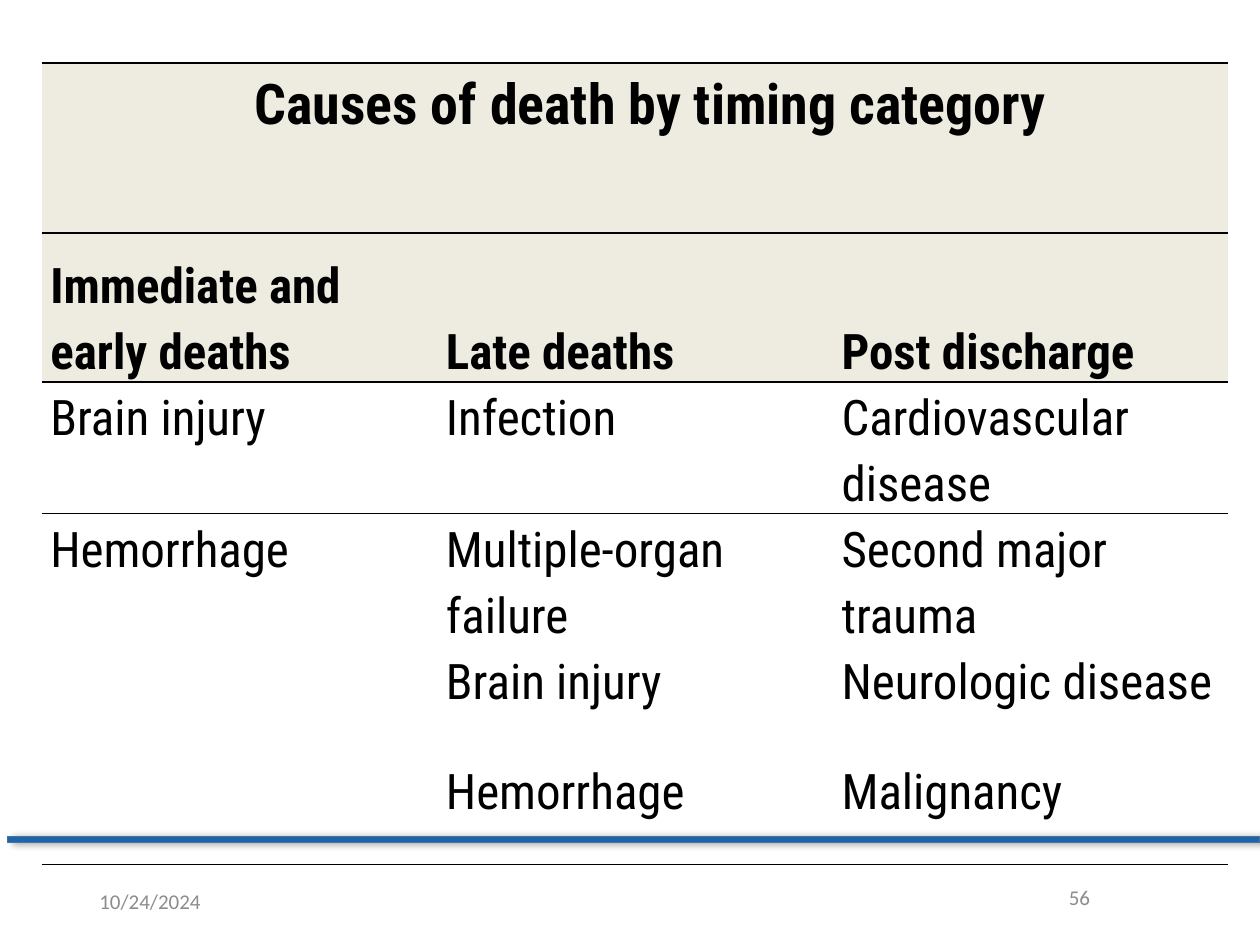
from lxml import etree
from pptx import Presentation
from pptx.dml.color import RGBColor
from pptx.enum.shapes import MSO_SHAPE
from pptx.enum.text import MSO_ANCHOR, PP_ALIGN
from pptx.oxml import parse_xml
from pptx.oxml.ns import qn
from pptx.util import Inches, Pt

RECT = MSO_SHAPE.RECTANGLE
TOP, MIDDLE, BOTTOM = MSO_ANCHOR.TOP, MSO_ANCHOR.MIDDLE, MSO_ANCHOR.BOTTOM
LEFT, CENTER, RIGHT = PP_ALIGN.LEFT, PP_ALIGN.CENTER, PP_ALIGN.RIGHT

COLORS = {"text": "000000", "header": "EEECE1", "bar": "2163AB",
          "bar_line": "43739E", "footer": "8C8C8C"}
TABLE_FONT, FOOTER_FONT = "Roboto Condensed", "Calibri"
NO_STYLE = "{2D5ABB26-0587-4C30-8999-92F81FD0307C}"
A_NS = 'xmlns:a="http://schemas.openxmlformats.org/drawingml/2006/main"'

TITLE = "Causes of death by timing category"
ROWS = [
    [TITLE, "", ""],
    ["Immediate and early deaths", "Late deaths", "Post discharge"],
    ["Brain injury", "Infection", "Cardiovascular disease"],
    ["Hemorrhage", "Multiple-organ failure", "Second major trauma"],
    ["", "Brain injury", "Neurologic disease"],
    ["", "Hemorrhage", "Malignancy"],
]
HEADER_ROWS = 2
COL_WIDTH = 3.14
ROW_HEIGHTS = [1.35, 1.18] + [0.87] * 4


def rgb(name):
    return RGBColor.from_string(COLORS[name])


def style_text(p, font, size, color, align=LEFT, bold=False):
    p.alignment = align
    for r in p.runs:
        r.font.name = font
        r.font.size = Pt(size)
        r.font.bold = bold
        r.font.color.rgb = rgb(color)


def add_bar(slide):
    sp = slide.shapes.add_shape(RECT, Inches(0.06), Inches(6.64),
                                Inches(9.94), Inches(0.05))
    sp.fill.solid()
    sp.fill.fore_color.rgb = rgb("bar")
    sp.line.color.rgb = rgb("bar_line")
    sp.line.width = Pt(0.5)
    sp.shadow.inherit = False
    effects = sp._element.spPr.find(qn("a:effectLst"))
    effects.append(parse_xml(
        f'<a:outerShdw {A_NS} blurRad="{Pt(4)}" dist="{Pt(3)}" dir="0" rotWithShape="0">'
        f'<a:srgbClr val="{COLORS["text"]}"><a:alpha val="40000"/></a:srgbClr></a:outerShdw>'))


def set_borders(cell, sides):
    """Rule the given sides (T, B) of a cell."""
    tcPr = cell._tc.get_or_add_tcPr()
    for i, side in enumerate(sides):
        tcPr.insert(i, parse_xml(
            f'<a:ln{side} {A_NS} w="{Pt(1)}"><a:solidFill>'
            f'<a:srgbClr val="{COLORS["text"]}"/></a:solidFill></a:ln{side}>'))


def fill_cell(cell, text, row):
    cell.margin_left = cell.margin_right = Inches(0.07)
    cell.margin_top = cell.margin_bottom = 0
    cell.vertical_anchor = BOTTOM if row == 1 else TOP
    if row < HEADER_ROWS:
        cell.fill.solid()
        cell.fill.fore_color.rgb = rgb("header")
    else:
        cell.fill.background()
    if text:
        p = cell.text_frame.paragraphs[0]
        p.text = text
        p.line_spacing = 1.15
        is_title = row == 0
        style_text(p, TABLE_FONT, 32 if is_title else 28, "text",
                   CENTER if is_title else LEFT, bold=row < HEADER_ROWS)
        if is_title:
            p._p.get_or_add_pPr().set("marL", str(Inches(0.25)))


def add_causes_table(slide):
    n_rows, n_cols = len(ROWS), len(ROWS[0])
    frame = slide.shapes.add_table(n_rows, n_cols, Inches(0.33), Inches(0.5),
                                   Inches(COL_WIDTH * n_cols), Inches(sum(ROW_HEIGHTS)))
    table = frame.table
    table.first_row = table.horz_banding = False
    table._tbl.tblPr.find(qn("a:tableStyleId")).text = NO_STYLE
    for col in table.columns:
        col.width = Inches(COL_WIDTH)
    borders = {0: "TB", 1: "TB", HEADER_ROWS: "T", n_rows - 1: "B"}
    for i, (texts, height) in enumerate(zip(ROWS, ROW_HEIGHTS)):
        table.rows[i].height = Inches(height)
        for j, text in enumerate(texts):
            cell = table.cell(i, j)
            fill_cell(cell, text, i)
            set_borders(cell, borders.get(i, ""))
    table.cell(0, 0).merge(table.cell(0, n_cols - 1))


def add_footer(slide, text, left, top, align):
    tf = slide.shapes.add_textbox(Inches(left), Inches(top),
                                  Inches(2.25), Inches(0.4)).text_frame
    tf.word_wrap = True
    tf.vertical_anchor = MIDDLE
    tf.text = text
    style_text(tf.paragraphs[0], FOOTER_FONT, 12, "footer", align)


def main():
    prs = Presentation()
    prs.slide_width, prs.slide_height = Inches(10), Inches(7.5)
    slide = prs.slides.add_slide(prs.slide_layouts[6])
    add_bar(slide)
    add_causes_table(slide)
    add_footer(slide, "10/24/2024", 0.69, 6.95, LEFT)
    add_footer(slide, "56", 6.5, 6.92, RIGHT)
    prs.save("out.pptx")


if __name__ == "__main__":
    main()
